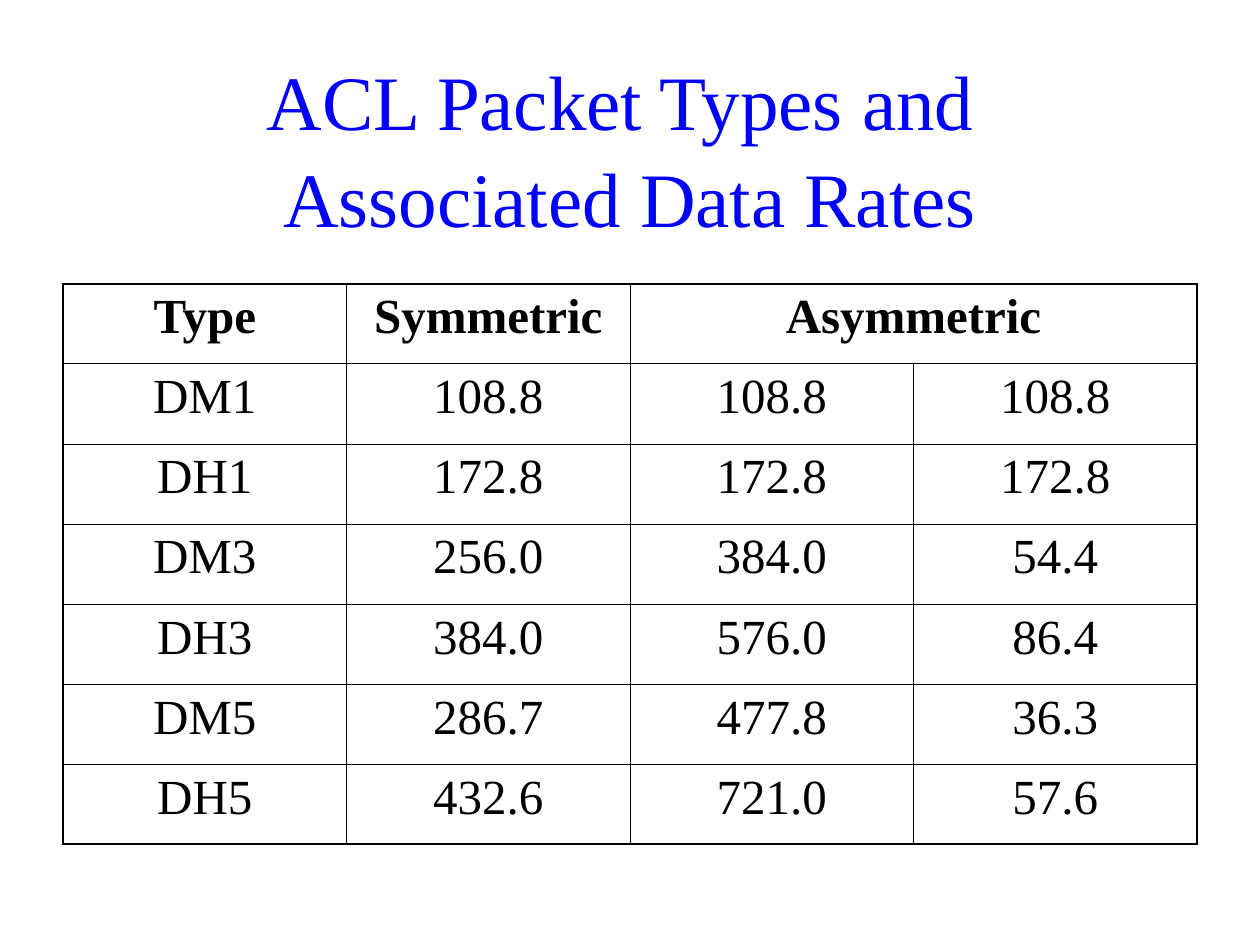
from pptx import Presentation
from pptx.dml.color import RGBColor as RGB
from pptx.enum.text import MSO_ANCHOR as Anchor, MSO_AUTO_SIZE as Auto, PP_ALIGN as Align
from pptx.oxml import parse_xml
from pptx.oxml.ns import nsdecls
from pptx.util import Cm, Pt

TITLE = "ACL Packet Types and \vAssociated Data Rates"
ROWS = [
    ("Type", "Symmetric", "Asymmetric", ""),
    ("DM1", "108.8", "108.8", "108.8"),
    ("DH1", "172.8", "172.8", "172.8"),
    ("DM3", "256.0", "384.0", "54.4"),
    ("DH3", "384.0", "576.0", "86.4"),
    ("DM5", "286.7", "477.8", "36.3"),
    ("DH5", "432.6", "721.0", "57.6"),
]
FONT = "Times New Roman"
BLUE, BLACK = "0000FF", "000000"
THIN, THICK = Pt(0.45), Pt(1.08)
LEFT, WIDTH = Cm(1.27), Cm(22.86)


def style(para, size, color, bold=False):
    para.alignment = Align.CENTER
    font = para.font
    font.name, font.size, font.bold = FONT, Pt(size), bold
    font.color.rgb = RGB.from_string(color)


def frame(cell, edges):
    props = cell._tc.get_or_add_tcPr()
    for i, (side, outer) in enumerate(edges):
        width = THICK if outer else THIN
        line = parse_xml(
            f'<a:ln{side} {nsdecls("a")} w="{int(width)}"><a:solidFill>'
            f'<a:srgbClr val="{BLACK}"/></a:solidFill></a:ln{side}>'
        )
        props.insert(i, line)


def add_title(slide):
    title = slide.shapes.title
    title.left, title.top = LEFT, Cm(0.76)
    title.width, title.height = WIDTH, Cm(4.17)
    text = title.text_frame
    text.text = TITLE
    text.auto_size = Auto.NONE
    text.vertical_anchor = Anchor.MIDDLE
    text.margin_top = Cm(0.33)
    para = text.paragraphs[0]
    para.line_spacing = 1.05
    style(para, 44, BLUE)


def add_rates(slide):
    high, wide = len(ROWS), len(ROWS[0])
    table = slide.shapes.add_table(
        high, wide, LEFT, Cm(5.72), WIDTH, Cm(11.3)
    ).table
    table.first_row = table.horz_banding = False
    table.cell(0, 2).merge(table.cell(0, 3))
    for r, row in enumerate(ROWS):
        for c, word in enumerate(row):
            cell = table.cell(r, c)
            cell.fill.background()
            last = c + cell.span_width == wide
            frame(cell, [("L", c == 0), ("R", last), ("T", r == 0), ("B", r == high - 1)])
            if word:
                cell.text = word
                style(cell.text_frame.paragraphs[0], 28, BLACK, r == 0)


def main():
    deck = Presentation()
    deck.slide_width, deck.slide_height = Cm(25.4), Cm(19.05)
    slide = deck.slides.add_slide(deck.slide_layouts[5])
    add_title(slide)
    add_rates(slide)
    deck.save("out.pptx")


if __name__ == "__main__":
    main()
